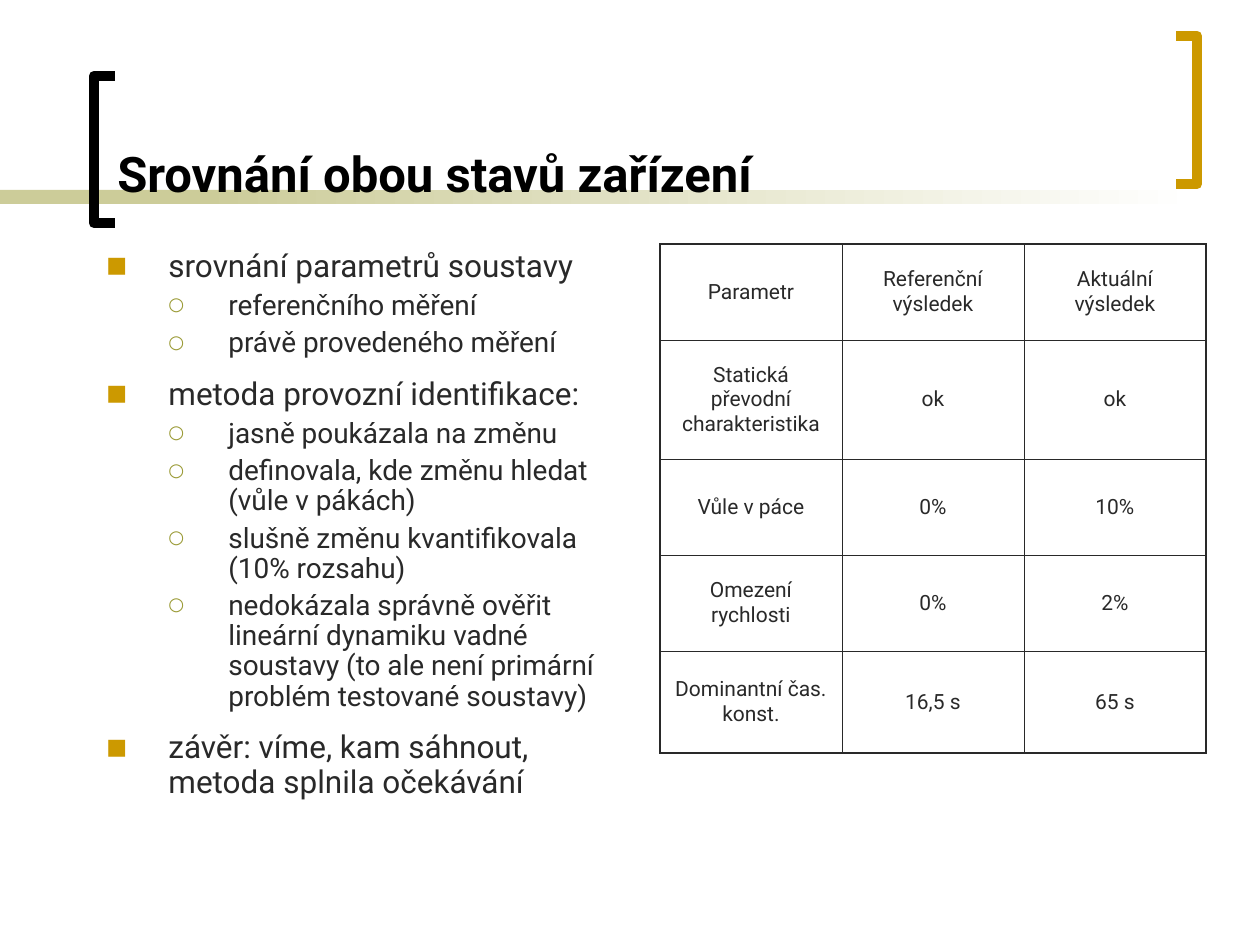
from lxml.etree import SubElement
from pptx import Presentation
from pptx.dml.color import RGBColor
from pptx.enum.shapes import MSO_SHAPE
from pptx.enum.text import MSO_ANCHOR, PP_ALIGN
from pptx.oxml.ns import qn
from pptx.util import Emu, Pt

FONT = "Roboto"
BLACK, INK, GOLD, OLIVE, SAND, WHITE = (
    "000000", "292929", "CC9900", "999933", "CCCC99", "FFFFFF")

# Per outline level: text size, space before, left margin, hanging indent,
# bullet, its colour and its percentage of the text size
LEVELS = [
    (18, 11.2, 62, 62, "■", GOLD, 70),
    (16, 4, 122, 60, "○", OLIVE, 65),
]
POINTS = [
    (0, "srovnání parametrů soustavy"),
    (1, "referenčního měření"),
    (1, "právě provedeného měření"),
    (0, "metoda provozní identifikace:"),
    (1, "jasně poukázala na změnu"),
    (1, "definovala, kde změnu hledat\v(vůle v pákách)"),
    (1, "slušně změnu kvantifikovala (10% rozsahu)"),
    (1, "nedokázala správně ověřit lineární dynamiku vadné soustavy "
        "(to ale není primární problém testované soustavy)"),
    (0, "závěr: víme, kam sáhnout, metoda splnila očekávání"),
]
RESULTS = [
    ("Parametr", "Referenční výsledek", "Aktuální výsledek"),
    ("Statická převodní charakteristika", "ok", "ok"),
    ("Vůle v páce", "0%", "10%"),
    ("Omezení rychlosti", "0%", "2%"),
    ("Dominantní čas. konst.", "16,5 s", "65 s"),
]
COLUMN_WIDTH = 182
ROW_HEIGHTS = [96, 119, 96, 96, 102]


def px(length):
    return Emu(round(length * 914400 / 126))


def color(value):
    return RGBColor.from_string(value)


def set_font(paragraph, size, value, bold=False):
    font = paragraph.font
    font.name, font.size, font.bold = FONT, Pt(size), bold
    font.color.rgb = color(value)


def add_band(slide, left, width, fades=False):
    band = slide.shapes.add_shape(
        MSO_SHAPE.RECTANGLE, px(left), px(190), px(width), px(14))
    band.shadow.inherit = False
    band.line.fill.background()
    if fades:
        band.fill.gradient()
        band.fill.gradient_angle = 0
        for stop, value in zip(band.fill.gradient_stops, (SAND, WHITE)):
            stop.color.rgb = color(value)
    else:
        band.fill.solid()
        band.fill.fore_color.rgb = color(SAND)


def add_bracket(slide, tip, spine, top, bottom, value):
    builder = slide.shapes.build_freeform(px(tip), px(top))
    corners = [(spine, top), (spine, bottom), (tip, bottom)]
    builder.add_line_segments([(px(x), px(y)) for x, y in corners], close=False)
    bracket = builder.convert_to_shape()
    bracket.shadow.inherit = False
    bracket.fill.background()
    bracket.line.color.rgb = color(value)
    bracket.line.width = Pt(6)


def add_text_frame(slide, left, top, width, height, anchor=MSO_ANCHOR.TOP):
    frame = slide.shapes.add_textbox(
        px(left), px(top), px(width), px(height)).text_frame
    frame.word_wrap = True
    frame.vertical_anchor = anchor
    return frame


def add_title(slide, title):
    frame = add_text_frame(slide, 105, 14, 1081, 195, MSO_ANCHOR.BOTTOM)
    paragraph = frame.paragraphs[0]
    paragraph.text = title
    set_font(paragraph, 28, BLACK, bold=True)


def set_bullet(paragraph, margin, hanging, mark, value, percent):
    properties = paragraph._p.get_or_add_pPr()
    properties.set("marL", str(px(margin)))
    properties.set("indent", str(-px(hanging)))
    bullet_color = SubElement(properties, qn("a:buClr"))
    SubElement(bullet_color, qn("a:srgbClr"), val=value)
    SubElement(properties, qn("a:buSzPct"), val=str(percent * 1000))
    SubElement(properties, qn("a:buFont"), typeface=FONT)
    SubElement(properties, qn("a:buChar"), char=mark)


def add_outline(slide, points):
    frame = add_text_frame(slide, 94, 244, 546, 596)
    for index, (level, text) in enumerate(points):
        paragraph = frame.add_paragraph() if index else frame.paragraphs[0]
        size, space, *bullet = LEVELS[level]
        paragraph.text = text
        paragraph.level = level
        paragraph.line_spacing = 0.9
        paragraph.space_before = Pt(space)
        set_bullet(paragraph, *bullet)
        set_font(paragraph, size, INK)


def set_borders(cell, outer_sides):
    properties = cell._tc.get_or_add_tcPr()
    for side in "LRTB":
        width = Pt(1.08 if side in outer_sides else 0.45)
        border = SubElement(properties, qn(f"a:ln{side}"), w=str(width))
        fill = SubElement(border, qn("a:solidFill"))
        SubElement(fill, qn("a:srgbClr"), val=INK)


def add_results(slide, rows):
    last_row, last_column = len(rows) - 1, len(rows[0]) - 1
    table = slide.shapes.add_table(
        len(rows), len(rows[0]), px(660), px(244),
        px(COLUMN_WIDTH * len(rows[0])), px(sum(ROW_HEIGHTS))).table
    table.first_row = table.horz_banding = False
    for column in table.columns:
        column.width = px(COLUMN_WIDTH)
    for r, (row, height) in enumerate(zip(rows, ROW_HEIGHTS)):
        table.rows[r].height = px(height)
        for c, text in enumerate(row):
            cell = table.cell(r, c)
            edges = {"L": c == 0, "R": c == last_column,
                     "T": r == 0, "B": r == last_row}
            set_borders(cell, [side for side in edges if edges[side]])
            cell.fill.background()
            cell.vertical_anchor = MSO_ANCHOR.MIDDLE
            paragraph = cell.text_frame.paragraphs[0]
            paragraph.text = text
            paragraph.alignment = PP_ALIGN.CENTER
            paragraph.space_before = Pt(7.5)
            set_font(paragraph, 12, INK)


def main():
    deck = Presentation()
    deck.slide_width, deck.slide_height = px(1260), px(945)
    slide = deck.slides.add_slide(deck.slide_layouts[6])

    # Band and brackets around the heading
    add_band(slide, 0, 294)
    add_band(slide, 199, 998, fades=True)
    add_bracket(slide, 115, 94, 223, 76, BLACK)
    add_bracket(slide, 1176, 1197, 36, 184, GOLD)

    # Content
    add_title(slide, "Srovnání obou stavů zařízení")
    add_outline(slide, POINTS)
    add_results(slide, RESULTS)

    deck.save("out.pptx")


if __name__ == "__main__":
    main()
